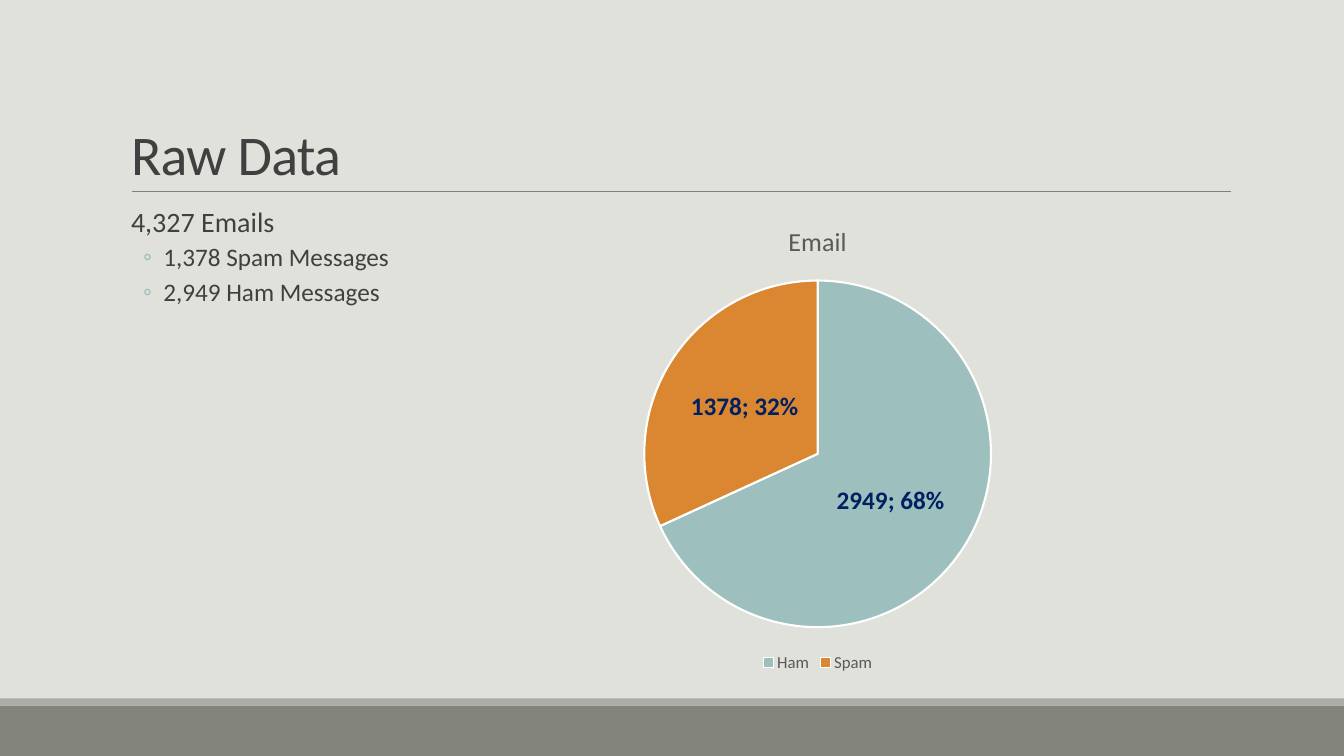
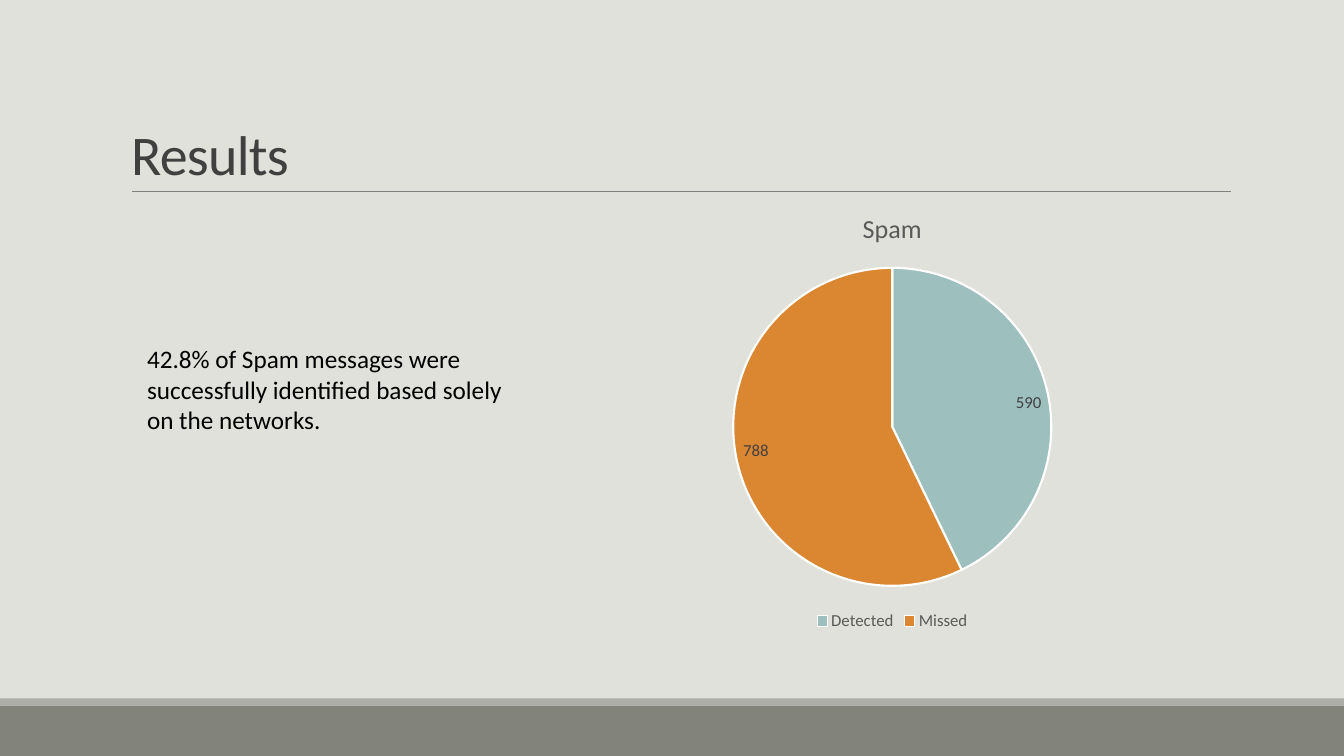
from lxml import etree
from pptx import Presentation
from pptx.chart.data import CategoryChartData
from pptx.dml.color import RGBColor
from pptx.enum.chart import XL_CHART_TYPE, XL_LABEL_POSITION as LABEL_POS, XL_LEGEND_POSITION as LEGEND_POS
from pptx.enum.shapes import MSO_CONNECTOR, MSO_SHAPE
from pptx.enum.text import MSO_ANCHOR
from pptx.oxml.ns import qn
from pptx.util import Inches, Pt

FONT = "Calibri"
COLORS = {
    "background": "E1E1DB", "band": "82847C", "stripe": "ACADA8", "rule": "808080",
    "text": "404040", "black": "000000", "chart_text": "595959", "navy": "002060",
    "teal": "9DBFBE", "orange": "DB8631", "white": "FFFFFF",
}
SLICES = ["teal", "orange"]
BANDS = [("band", 7, 0.5), ("stripe", 6.93, 0.07)]  # colour, top, height

RAW_DATA = {
    "title": "Raw Data",
    "total": "4,327 Emails",
    "parts": ["1,378 Spam Messages", "2,949 Ham Messages"],
    "chart": {"title": "Email", "series": "Series 1", "values": {"Ham": 2949, "Spam": 1378}},
}
RESULTS = {
    "title": "Results",
    "finding": "42.8% of Spam messages were successfully identified based solely on the networks.",
    "chart": {"title": "Spam", "series": "Spam", "values": {"Detected": 590, "Missed": 788}},
}


def rgb(name):
    return RGBColor.from_string(COLORS[name])


def box(*lengths):
    return [Inches(n) for n in lengths]


def style(font, size, color, bold=False):
    font.name, font.size, font.bold = FONT, Pt(size), bold
    font.color.rgb = rgb(color)


def write(p, text, size=18, color="text", line=None, before=0, after=0):
    p.line_spacing, p.space_before, p.space_after = line, Pt(before), Pt(after)
    r = p.add_run()
    r.text = text
    style(r.font, size, color)
    return r


def set_indent(p, left, hanging=0, bullet=None):
    pPr = p._p.get_or_add_pPr()
    pPr.set("marL", str(Inches(left)))
    pPr.set("indent", str(-Inches(hanging)))
    if bullet:
        color = etree.SubElement(pPr, qn("a:buClr"))
        etree.SubElement(color, qn("a:srgbClr"), val=COLORS["teal"])
        etree.SubElement(pPr, qn("a:buFont"), typeface=FONT)
        etree.SubElement(pPr, qn("a:buChar"), char=bullet)


def add_text_box(s, left, top, width, height):
    tf = s.shapes.add_textbox(*box(left, top, width, height)).text_frame
    tf.word_wrap = True
    return tf


def add_slide(prs, title):
    """Add a slide with the shared bands, title and title rule."""
    s = prs.slides.add_slide(prs.slide_layouts[5])
    for color, top, height in BANDS:
        sp = s.shapes.add_shape(MSO_SHAPE.RECTANGLE, 0, Inches(top), prs.slide_width, Inches(height))
        sp.shadow.inherit = False
        sp.fill.solid()
        sp.fill.fore_color.rgb = rgb(color)
        sp.line.fill.background()

    rule = s.shapes.add_connector(MSO_CONNECTOR.STRAIGHT, *box(1.31, 1.9, 12.21, 1.9))
    rule.line.color.rgb = rgb("rule")
    rule.line.width = Pt(0.5)
    etree.SubElement(rule._element.spPr, qn("a:effectLst"))

    sp = s.shapes.title
    sp.left, sp.top, sp.width, sp.height = box(1.2, 0.31, 11, 1.59)
    tf = sp.text_frame
    tf.vertical_anchor = MSO_ANCHOR.BOTTOM
    p = tf.paragraphs[0]
    r = write(p, title, size=40, line=0.85)
    r._r.get_or_add_rPr().set("spc", "-50")
    set_indent(p, 0)
    p.alignment = 1
    return s


def add_pie(s, content, place):
    """Add a pie chart and return its data labels for formatting."""
    data = CategoryChartData()
    data.categories = list(content["values"])
    data.add_series(content["series"], list(content["values"].values()))
    chart = s.shapes.add_chart(XL_CHART_TYPE.PIE, *box(*place), data).chart
    style(chart.font, 10, "black")

    chart.has_title = True
    write(chart.chart_title.text_frame.paragraphs[0], content["title"], size=18.6, color="chart_text")
    chart.has_legend = True
    chart.legend.position = LEGEND_POS.BOTTOM
    chart.legend.include_in_layout = False
    style(chart.legend.font, 12, "chart_text")

    plot = chart.plots[0]
    plot.vary_by_categories = True
    series = plot.series[0]
    for i, color in enumerate(SLICES):
        fmt = series.points[i].format
        fmt.fill.solid()
        fmt.fill.fore_color.rgb = rgb(color)
        fmt.line.color.rgb = rgb("white")
        fmt.line.width = Pt(1.5)
    labels = series.data_labels
    labels.show_value = True
    return labels


def build_raw_data(prs):
    s = add_slide(prs, RAW_DATA["title"])
    tf = add_text_box(s, 1.2, 2.02, 11, 4.4)
    tf.margin_left = tf.margin_right = 0
    p = tf.paragraphs[0]
    write(p, RAW_DATA["total"], size=20, line=0.9, before=12, after=2)
    set_indent(p, 0.1)
    for part in RAW_DATA["parts"]:
        p = tf.add_paragraph()
        write(p, part, line=0.9, before=2, after=4)
        set_indent(p, 0.42, hanging=0.2, bullet="◦")

    labels = add_pie(s, RAW_DATA["chart"], (5.11, 2.02, 6, 4.69))
    labels.show_percentage = True
    labels.position = LABEL_POS.CENTER
    style(labels.font, 18, "navy", bold=True)
    separator = etree.Element(qn("c:separator"))
    separator.text = "; "
    labels._element.find(qn("c:showBubbleSize")).addnext(separator)


def build_results(prs):
    s = add_slide(prs, RESULTS["title"])
    labels = add_pie(s, RESULTS["chart"], (5.5, 1.9, 6.7, 4.4))
    labels.position = LABEL_POS.INSIDE_END
    style(labels.font, 12, "text")
    tf = add_text_box(s, 1.36, 3.36, 3.89, 1.01)
    write(tf.paragraphs[0], RESULTS["finding"], color="black")


def main():
    prs = Presentation()
    prs.slide_width, prs.slide_height = box(13.33, 7.5)
    fill = prs.slide_master.background.fill
    fill.solid()
    fill.fore_color.rgb = rgb("background")
    build_raw_data(prs)
    build_results(prs)
    prs.save("out.pptx")


if __name__ == "__main__":
    main()
